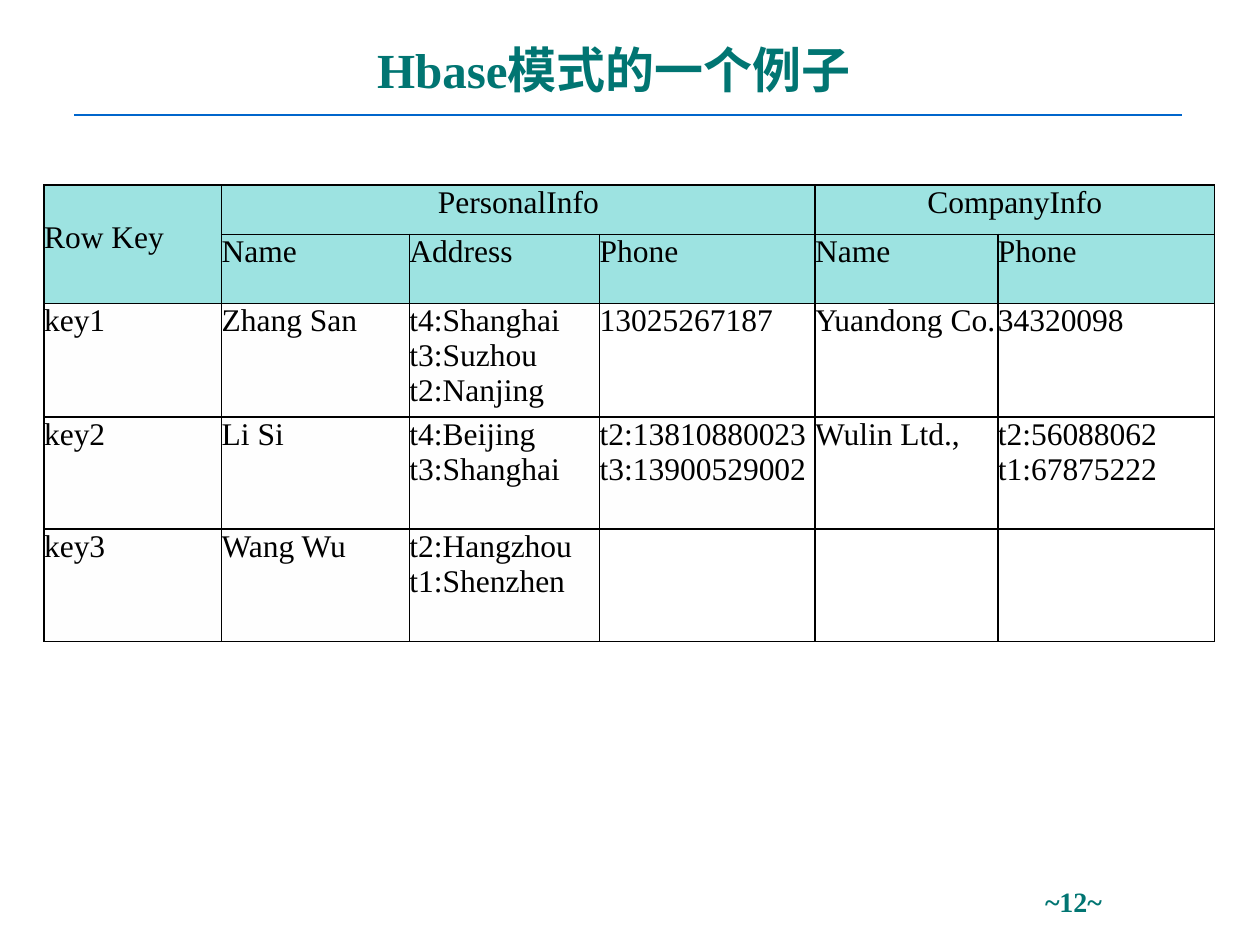
from lxml import etree
from pptx import Presentation
from pptx import util as u
from pptx.dml.color import RGBColor
from pptx.enum import shapes, text
from pptx.oxml import parse_xml
from pptx.oxml.ns import nsdecls, qn

HUES = {"teal": "017572", "rule": "0066CC", "head": "9DE3E1",
        "body": "FEFEFE", "ink": "000000"}
COLS = [14.1, 14.9, 15.1, 17.1, 14.5, 17.2]
ROWS = [3.9, 5.5, 9, 8.9, 8.9]
# Lines split by "\n" are paragraphs, by "\v" line breaks.
DATA = [
    ["Row Key", "PersonalInfo", "", "", "CompanyInfo", ""],
    ["", "Name", "Address", "Phone", "Name", "Phone"],
    ["key1", "Zhang San", "t4:Shanghai\vt3:Suzhou\vt2:Nanjing",
     "13025267187", "Yuandong Co.", "34320098"],
    ["key2", "Li Si", "t4:Beijing\vt3:Shanghai",
     "t2:13810880023\nt3:13900529002", "Wulin Ltd.,",
     "t2:56088062\nt1:67875222"],
    ["key3", "Wang Wu", "t2:Hangzhou\nt1:Shenzhen", "", "", ""],
]
SPANS = [(0, 0, 1, 0), (0, 1, 0, 3), (0, 4, 0, 5)]


def hue(name):
    return RGBColor.from_string(HUES[name])


def write(frame, words, size=18, color="ink", bold=False, align="LEFT",
          lead=None, before=None):
    frame.text = words
    for par in frame.paragraphs:
        par.alignment = getattr(text.PP_ALIGN, align)
        if lead:
            par.line_spacing = lead
        if before is not None:
            par.space_before = u.Pt(before)
        for run in par.runs:
            font = run.font
            font.name, font.size, font.bold = "Times New Roman", u.Pt(size), bold
            font.color.rgb = hue(color)


class Page:
    """Current slide on a grid of 100 columns by 75 rows."""

    def __init__(self, deck):
        self.slide = deck.slides.add_slide(deck.slide_layouts[5])
        self.wide, self.high = deck.slide_width, deck.slide_height

    def col(self, num):
        return u.Emu(round(self.wide * num / 100))

    def row(self, num):
        return u.Emu(round(self.high * num / 75))

    def box(self, x, y, w, h):
        return self.col(x), self.row(y), self.col(w), self.row(h)

    def title(self, words, *spot):
        shape = self.slide.shapes.title
        shape.left, shape.top, shape.width, shape.height = self.box(*spot)
        frame = shape.text_frame
        frame.vertical_anchor = text.MSO_ANCHOR.MIDDLE
        frame.margin_right = u.Inches(0.2)
        write(frame, words, size=28, color="teal", bold=True,
              align="CENTER", lead=1.1, before=8.4)

    def rule(self, x, y, end):
        line = self.slide.shapes.add_connector(
            shapes.MSO_CONNECTOR.STRAIGHT,
            self.col(x), self.row(y), self.col(end), self.row(y))
        line.line.color.rgb = hue("rule")
        line.line.width = u.Pt(1)
        etree.SubElement(line.element.spPr, qn("a:effectLst"))

    def label(self, words, *spot, **form):
        frame = self.slide.shapes.add_textbox(*self.box(*spot)).text_frame
        frame.word_wrap = True
        write(frame, words, **form)

    def edge(self, cell):
        """Draw a thin line on all four sides of a cell."""
        props = cell._tc.get_or_add_tcPr()
        for num, side in enumerate(("lnL", "lnR", "lnT", "lnB")):
            props.insert(num, parse_xml(
                f'<a:{side} {nsdecls("a")} w="12700"><a:solidFill>'
                f'<a:srgbClr val="{HUES["ink"]}"/></a:solidFill></a:{side}>'))

    def table(self, x, y):
        grid = self.slide.shapes.add_table(
            len(ROWS), len(COLS), *self.box(x, y, sum(COLS), sum(ROWS))).table
        grid.first_row = grid.horz_banding = False
        for col, size in zip(grid.columns, COLS):
            col.width = self.col(size)
        for row, size in zip(grid.rows, ROWS):
            row.height = self.row(size)
        for r, line in enumerate(DATA):
            for c, words in enumerate(line):
                cell = grid.cell(r, c)
                cell.margin_left = cell.margin_right = 0
                cell.margin_top = cell.margin_bottom = 0
                write(cell.text_frame, words,
                      align="CENTER" if r == 0 and c else "LEFT")
                if r < 2 or c < 3 or (r, c) == (3, 3):
                    cell.fill.solid()
                    cell.fill.fore_color.rgb = hue("head" if r < 2 else "body")
                else:
                    cell.fill.background()
                self.edge(cell)
        for top, left, low, right in SPANS:
            grid.cell(top, left).merge(grid.cell(low, right))
        key = grid.cell(0, 0)
        key.vertical_anchor = text.MSO_ANCHOR.MIDDLE
        key.margin_bottom = u.Inches(0.1)


def main():
    deck = Presentation()
    deck.slide_width, deck.slide_height = u.Inches(10), u.Inches(7.5)
    page = Page(deck)
    page.rule(5.9, 9.1, 93.8)
    page.title("Hbase模式的一个例子", 5.9, 2.1, 86.6, 6.3)
    page.table(3.5, 14.7)
    page.label("~12~", 76.6, 69.7, 17.2, 3.3,
               size=16, color="teal", bold=True, align="CENTER")
    deck.save("out.pptx")


if __name__ == "__main__":
    main()
